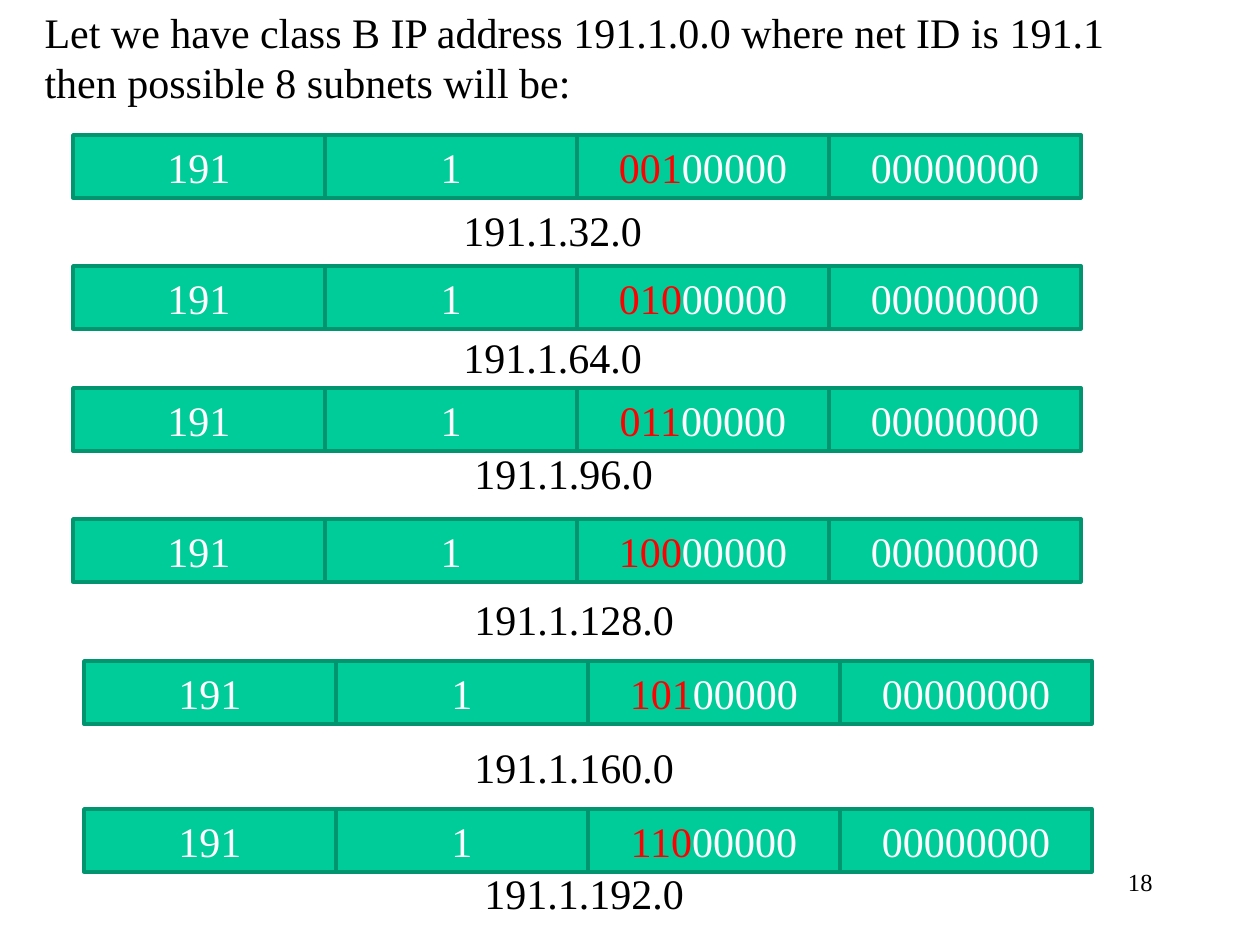
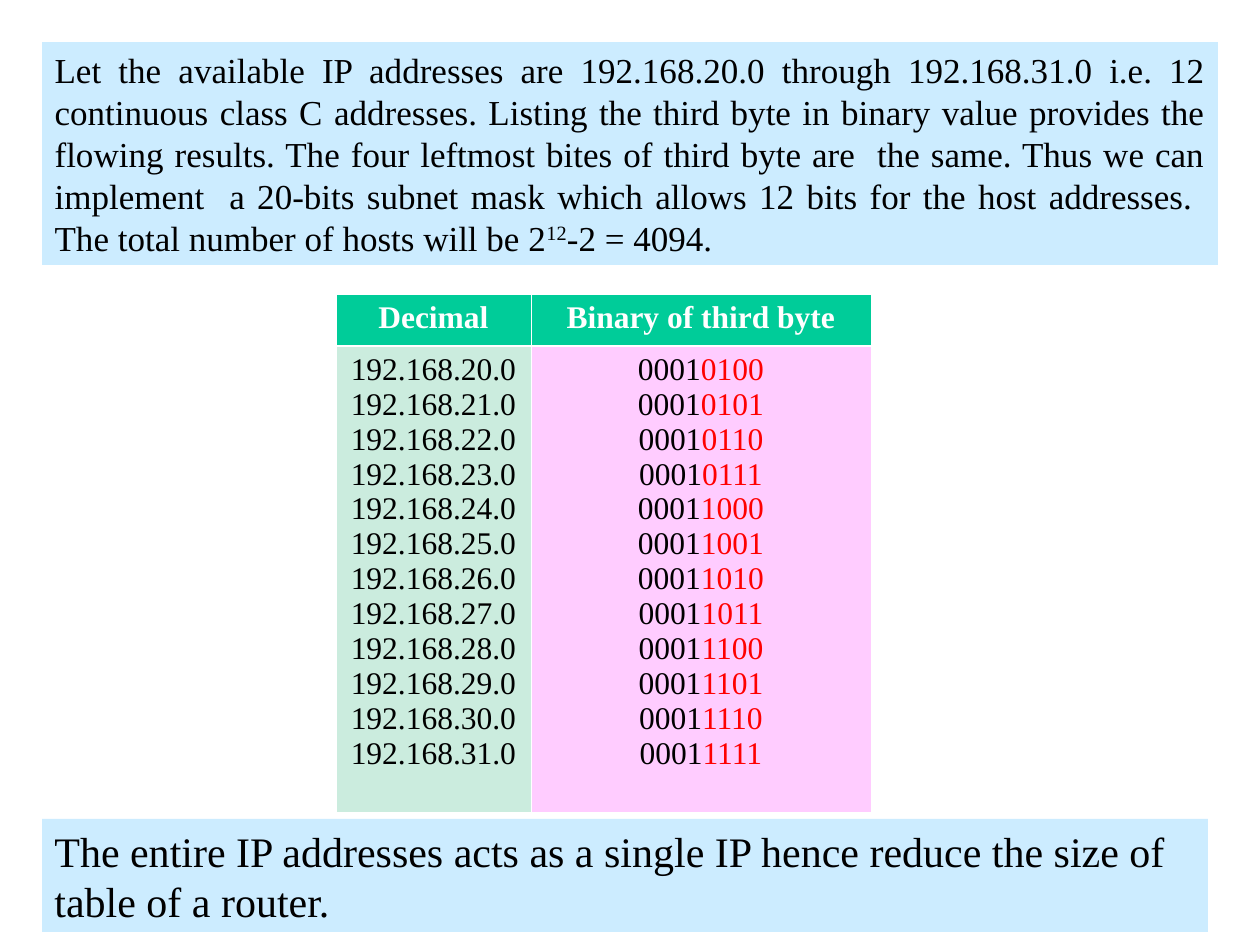
import pptx
import pptx.dml.color
import pptx.enum.shapes
import pptx.enum.text
import pptx.oxml
import pptx.oxml.ns
import pptx.util
from lxml import etree

PX = 914400 / 126
ALIGN = pptx.enum.text.PP_ALIGN
ANCHOR = pptx.enum.text.MSO_ANCHOR


class Theme:
    font = "Times New Roman"
    black, white, red = (
        pptx.dml.color.RGBColor.from_string(code) for code in ("000000", "FFFFFF", "FF0000"))
    green, dark_green, mint, pink, sky = (
        pptx.dml.color.RGBColor.from_string(code)
        for code in ("00CC99", "00956F", "CBECDE", "FFCCFF", "CCECFF"))
    large, medium, table, small = (pptx.util.Pt(size) for size in (24, 20, 18, 14))


FRAME_FORMAT = {
    "word_wrap": True,
    "auto_size": pptx.enum.text.MSO_AUTO_SIZE.NONE,
    "vertical_anchor": ANCHOR.TOP,
}


def place(shape, left, top, width, height, fill=None):
    """Move a text shape to a px box, format its frame and return the frame."""
    for name, value in zip(("left", "top", "width", "height"), (left, top, width, height)):
        setattr(shape, name, round(value * PX))
    if fill is not None:
        shape.fill.solid()
        shape.fill.fore_color.rgb = fill
    for name, value in FRAME_FORMAT.items():
        setattr(shape.text_frame, name, value)
    return shape.text_frame


def write(text_frame, lines, size=Theme.large, alignment=ALIGN.LEFT, bold=False):
    """Fill a frame with lines, each a list of (text, colour) runs."""
    for index, line in enumerate(lines):
        paragraph = text_frame.add_paragraph() if index else text_frame.paragraphs[0]
        paragraph.alignment = alignment
        for text, color in line:
            run = paragraph.add_run()
            run.text = text
            for name, value in {"name": Theme.font, "size": size, "bold": bold}.items():
                setattr(run.font, name, value)
            run.font.color.rgb = color


presentation = pptx.Presentation()
presentation.slide_width = round(1260 * PX)
presentation.slide_height = round(945 * PX)
presentation.element.set("firstSlideNum", "18")
title_only = presentation.slide_layouts[5]

# Subnets of a class B address
slide = presentation.slides.add_slide(title_only)
write(place(slide.shapes.title, 32, 0, 1134, 113), [[(
    "Let we have class B IP address 191.1.0.0 where net ID is 191.1 "
    "then possible 8 subnets will be:", Theme.black)]])

octet_width, octet_height = 252, 63
# Left and top of each row of octets, then of its address
subnet_places = [
    (73, 135, 451, 198), (73, 266, 451, 325), (73, 388, 462, 441),
    (73, 519, 462, 587), (84, 661, 462, 735), (84, 809, 472, 861)]
for subnet, (left, top, address_left, address_top) in enumerate(subnet_places, start=1):
    octets = [
        [("191", Theme.white)],
        [("1", Theme.white)],
        [(f"{subnet:03b}", Theme.red), ("00000", Theme.white)],
        [("00000000", Theme.white)]]
    row = slide.shapes.add_group_shape()
    for column, octet in enumerate(octets):
        box = row.shapes.add_shape(pptx.enum.shapes.MSO_SHAPE.RECTANGLE, 0, 0, 0, 0)
        box.shadow.inherit = False
        box.line.color.rgb = Theme.dark_green
        box.line.width = pptx.util.Pt(2)
        frame = place(box, left + column * octet_width, top,
                      octet_width, octet_height, Theme.green)
        frame.vertical_anchor = ANCHOR.MIDDLE
        write(frame, [octet], alignment=ALIGN.CENTER)
    # Fit the group to its boxes, which were sized after they were added
    for name, value in zip(("left", "top", "width", "height"),
                           (left, top, len(octets) * octet_width, octet_height)):
        setattr(row, name, round(value * PX))
    transform = row.element.grpSpPr.find(pptx.oxml.ns.qn("a:xfrm"))
    child_offset = transform.find(pptx.oxml.ns.qn("a:chOff"))
    child_extent = transform.find(pptx.oxml.ns.qn("a:chExt"))
    for name, value in {"x": row.left, "y": row.top}.items():
        child_offset.set(name, str(value))
    for name, value in {"cx": row.width, "cy": row.height}.items():
        child_extent.set(name, str(value))
    address = slide.shapes.add_textbox(0, 0, 0, 0)
    write(place(address, address_left, address_top, 242, 63),
          [[(f"191.1.{subnet * 32}.0", Theme.black)]])

page_number = slide.shapes.add_textbox(0, 0, 0, 0)
frame = place(page_number, 903, 861, 262, 63)
write(frame, [[("18", Theme.black)]], Theme.small, ALIGN.RIGHT)
number_run = frame.paragraphs[0].runs[0]._r
number_run.tag = pptx.oxml.ns.qn("a:fld")
number_run.set("id", "{B6F15528-21DE-4FAA-801E-634DDDAF4B2B}")
number_run.set("type", "slidenum")

# Class C addresses joined under one mask
slide = presentation.slides.add_slide(title_only)
frame = place(slide.shapes.title, 42, 42, 1176, 223, Theme.sky)
write(frame, [[
    ("Let the available IP addresses are 192.168.20.0 through 192.168.31.0 i.e. 12 "
     "continuous class C addresses. Listing the third byte in binary value provides the "
     "flowing results. The four leftmost bites of third byte are  the same. Thus we can "
     "implement  a 20-bits subnet mask which allows 12 bits for the host addresses.  "
     "The total number of hosts will be 2", Theme.black),
    ("12", Theme.black),
    ("-2 = 4094.", Theme.black)]], Theme.medium, ALIGN.JUSTIFY)
frame.paragraphs[0].runs[1]._r.get_or_add_rPr().set("baseline", "30000")

column_widths, row_heights = (195, 340), (52, 466)
table = slide.shapes.add_table(
    2, 2, round(336 * PX), round(294 * PX),
    round(sum(column_widths) * PX), round(sum(row_heights) * PX)).table
table.horz_banding = False
for column, width in zip(table.columns, column_widths):
    column.width = round(width * PX)
for row, height in zip(table.rows, row_heights):
    row.height = round(height * PX)

third_bytes = range(20, 32)
cells = [
    ([[("Decimal", Theme.white)]], Theme.green),
    ([[("Binary of third byte", Theme.white)]], Theme.green),
    ([[(f"192.168.{byte}.0", Theme.black)] for byte in third_bytes], Theme.mint),
    ([[(f"{byte >> 4:04b}", Theme.black), (f"{byte & 15:04b}", Theme.red)]
      for byte in third_bytes], Theme.pink)]
for index, (cell, (lines, fill)) in enumerate(zip(table.iter_cells(), cells)):
    is_header = index < 2
    write(cell.text_frame, lines, Theme.table, ALIGN.CENTER, is_header)
    properties = cell._tc.get_or_add_tcPr()
    thick_side = "lnB" if is_header else "lnT"
    for side in ("lnL", "lnR", "lnT", "lnB"):
        width = pptx.util.Pt(1.47 if side == thick_side else 0.45)
        border = etree.SubElement(properties, pptx.oxml.ns.qn(f"a:{side}"), w=str(width))
        solid = etree.SubElement(border, pptx.oxml.ns.qn("a:solidFill"))
        etree.SubElement(solid, pptx.oxml.ns.qn("a:srgbClr"), val=str(Theme.white))
    cell.fill.solid()
    cell.fill.fore_color.rgb = fill

conclusion = slide.shapes.add_textbox(0, 0, 0, 0)
write(place(conclusion, 42, 819, 1166, 113, Theme.sky), [[(
    "The entire IP addresses acts as a single IP hence reduce the size of "
    "table of a router.", Theme.black)]])

presentation.save("out.pptx")
